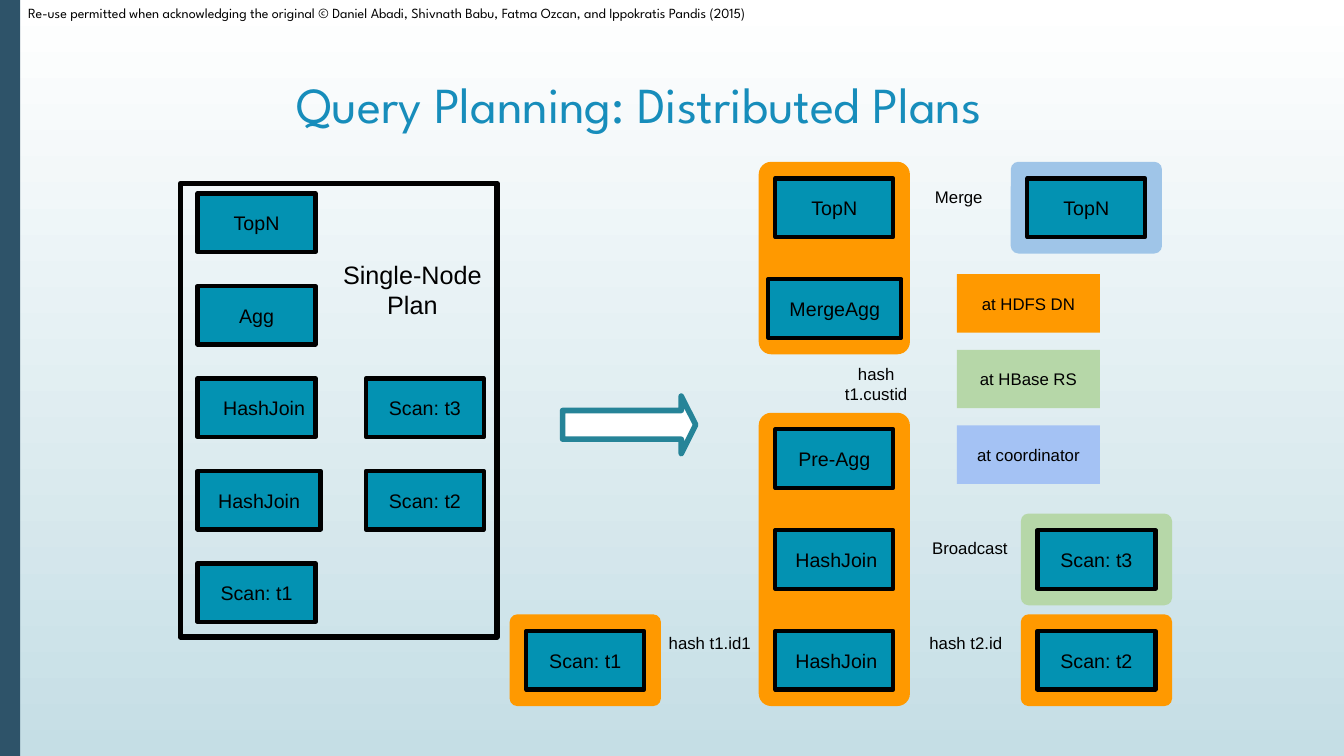
"""Build the slide that turns a single-node query plan into a distributed plan."""
import pptx
import pptx.dml.color
import pptx.enum.shapes
import pptx.enum.text
import pptx.util

SHAPE = pptx.enum.shapes.MSO_SHAPE
ALIGN = pptx.enum.text.PP_ALIGN
ANCHOR = pptx.enum.text.MSO_ANCHOR
Inches = pptx.util.Inches
Pt = pptx.util.Pt

BLACK, WHITE = "000000", "FFFFFF"
NODE, DATANODE, REGION = "0392B2", "FF9900", "B6D7A8"
NODE_WIDTH, NODE_HEIGHT = 1.17, 0.58
PANEL_WIDTH, PANEL_PAD = 1.5, 0.165

deck = pptx.Presentation()
deck.slide_width, deck.slide_height = Inches(13.33), Inches(7.5)
page = deck.slides.add_slide(deck.slide_layouts[6])


def color(value):
    return pptx.dml.color.RGBColor.from_string(value)


def draw(kind, place, fill=None, line=None, weight=3, text="", size=14, inset=0,
         shift=0, anchor=ANCHOR.MIDDLE, align=ALIGN.CENTER, font="Arial", ink=BLACK):
    place = [Inches(length) for length in place]
    box = page.shapes.add_shape(kind, *place) if kind else page.shapes.add_textbox(*place)
    if kind:
        box.shadow.inherit = False
    if fill:
        box.fill.solid()
        box.fill.fore_color.rgb = color(fill)
    else:
        box.fill.background()
    if line:
        box.line.color.rgb = color(line)
        box.line.width = Pt(weight)
    else:
        box.line.fill.background()
    if text:
        frame = box.text_frame
        frame.word_wrap = True
        frame.vertical_anchor = anchor
        frame.margin_left = Inches(inset + shift)
        frame.margin_right = frame.margin_top = frame.margin_bottom = Inches(inset)
        frame.text = text
        for para in frame.paragraphs:
            para.alignment = align
            para.font.name = font
            para.font.size = Pt(size)
            para.font.color.rgb = color(ink)
    return box


backdrop = page.background.fill
backdrop.gradient()
backdrop.gradient_angle = 270
for stop, shade in zip(backdrop.gradient_stops, (WHITE, "C5DEE5")):
    stop.color.rgb = color(shade)

draw(SHAPE.RECTANGLE, (0, 0, 0.2, 7.5), "2E5369")
headings = [
    ((0.18, 0, 10, 0.33), 10, BLACK,
     "Re-use permitted when acknowledging the original © Daniel Abadi, "
     "Shivnath Babu, Fatma Ozcan, and Ippokratis Pandis (2015)"),
    ((2.84, 0.68, 9.75, 1.4), 36, "178DBB", "Query Planning: Distributed Plans"),
]
for place, size, ink, text in headings:
    draw(None, place, text=text, size=size, inset=0.05, shift=0.05, ink=ink,
         anchor=ANCHOR.TOP, align=ALIGN.LEFT, font="League Spartan")

draw(SHAPE.RECTANGLE, (1.79, 1.82, 3.14, 4.5), line=BLACK, weight=4)
draw(None, (3.25, 2.52, 1.68, 0.71), text="Single-Node\nPlan", size=18,
     inset=0.05, anchor=ANCHOR.TOP)
draw(SHAPE.RIGHT_ARROW, (5.58, 3.93, 1.32, 0.57), WHITE, "268498", 4).adjustments[1] = 0.251

left_rows = [1.92 + 0.9175 * row for row in range(5)]
right_rows = [1.77, 2.77, 4.26, 5.26, 6.26]
scan_left, plan_left, remote_left = 5.22, 7.69, 10.29

panels = [
    (plan_left, right_rows[0], right_rows[1], DATANODE),
    (plan_left, right_rows[2], right_rows[4], DATANODE),
    (scan_left, right_rows[4], right_rows[4], DATANODE),
    (remote_left, right_rows[4], right_rows[4], DATANODE),
    (remote_left, right_rows[3], right_rows[3], REGION),
    (remote_left - 0.1, right_rows[0], right_rows[0], "9FC5E8"),
]
for left, first, last, fill in panels:
    height = last - first + NODE_HEIGHT + 2 * PANEL_PAD
    panel = draw(SHAPE.ROUNDED_RECTANGLE,
                 (left - PANEL_PAD, first - PANEL_PAD, PANEL_WIDTH, height), fill)
    panel.adjustments[0] = 0.083

nodes = [
    (1.96, left_rows[0], "TopN", 0, 0),
    (1.96, left_rows[1], "Agg", 0, 0),
    (1.96, left_rows[2], "HashJoin", 0, 0.15),
    (1.96, left_rows[3], "HashJoin", 0.05, 0),
    (1.96, left_rows[4], "Scan: t1", 0, 0),
    (3.63, left_rows[2], "Scan: t3", 0, 0),
    (3.63, left_rows[3], "Scan: t2", 0, 0),
    (plan_left, right_rows[0], "TopN", 0, 0),
    (plan_left - 0.07, right_rows[1], "MergeAgg", 0.15, 0),
    (plan_left, right_rows[2], "Pre-Agg", 0, 0),
    (plan_left, right_rows[3], "HashJoin", 0, 0.04),
    (plan_left, right_rows[4], "HashJoin", 0, 0.04),
    (scan_left, right_rows[4], "Scan: t1", 0, 0),
    (remote_left, right_rows[4], "Scan: t2", 0, 0),
    (remote_left, right_rows[3], "Scan: t3", 0, 0),
    (remote_left - 0.1, right_rows[0], "TopN", 0, 0),
]
for left, top, text, extra, shift in nodes:
    draw(SHAPE.RECTANGLE, (left, top, NODE_WIDTH + extra, NODE_HEIGHT),
         NODE, BLACK, text=text, shift=shift)

exchanges = [
    (9.01, 1.75, 1, 0.4, "Merge"),
    (8.19, 3.51, 1, 0.61, "hash t1.custid"),
    (9.12, 5.23, 1, 0.4, "Broadcast"),
    (9.08, 6.18, 1, 0.4, "hash t2.id"),
    (6.5, 6.18, 1.08, 0.4, "hash t1.id1"),
]
for *place, text in exchanges:
    draw(None, place, text=text, size=12, inset=0.1, anchor=ANCHOR.TOP)

legend = [("at HDFS DN", DATANODE), ("at HBase RS", REGION), ("at coordinator", "A4C2F4")]
for row, (text, fill) in enumerate(legend):
    draw(SHAPE.RECTANGLE, (9.49, 2.72 + 0.75 * row, 1.42, NODE_HEIGHT), fill,
         text=text, size=12, inset=0.2)

deck.save("out.pptx")
